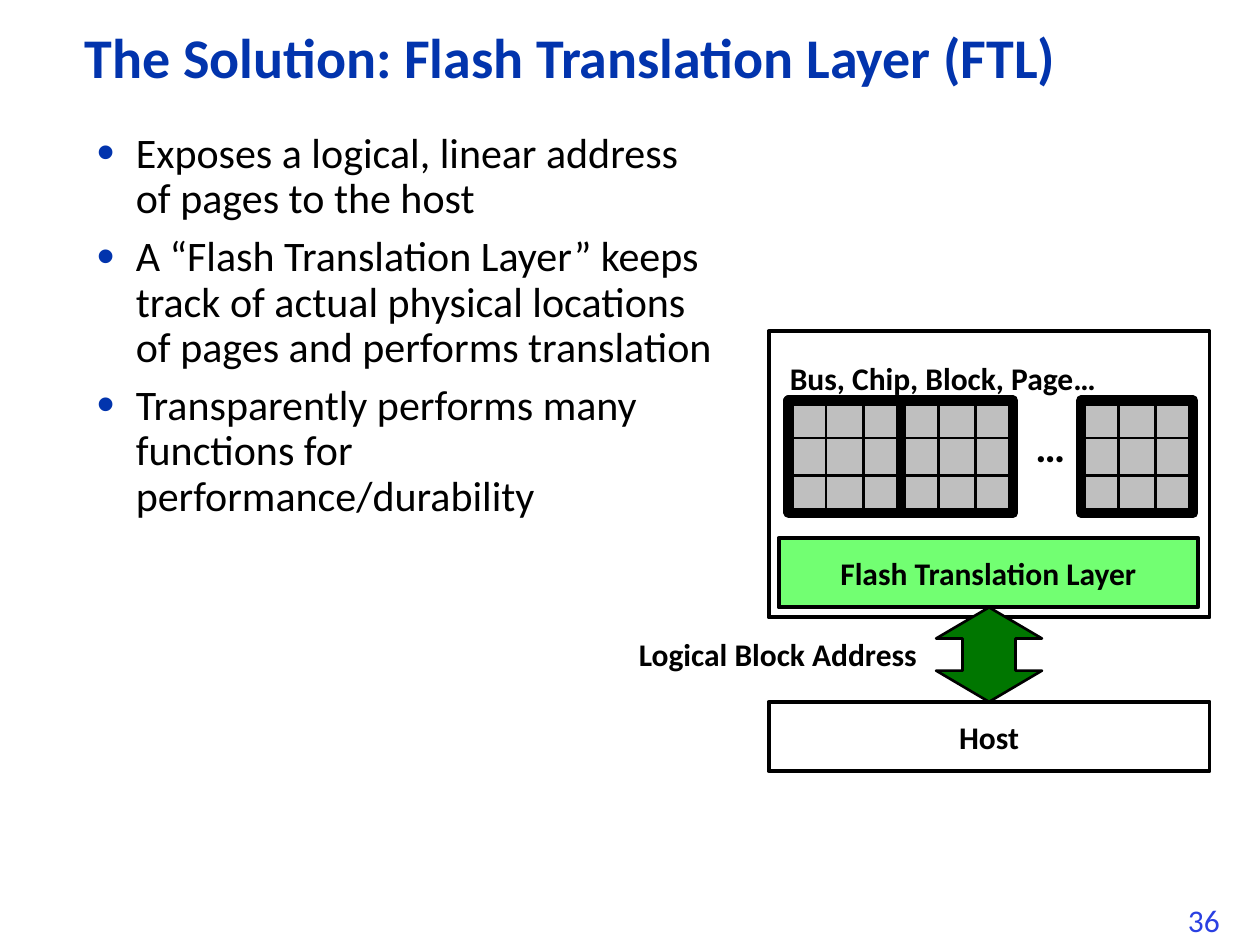
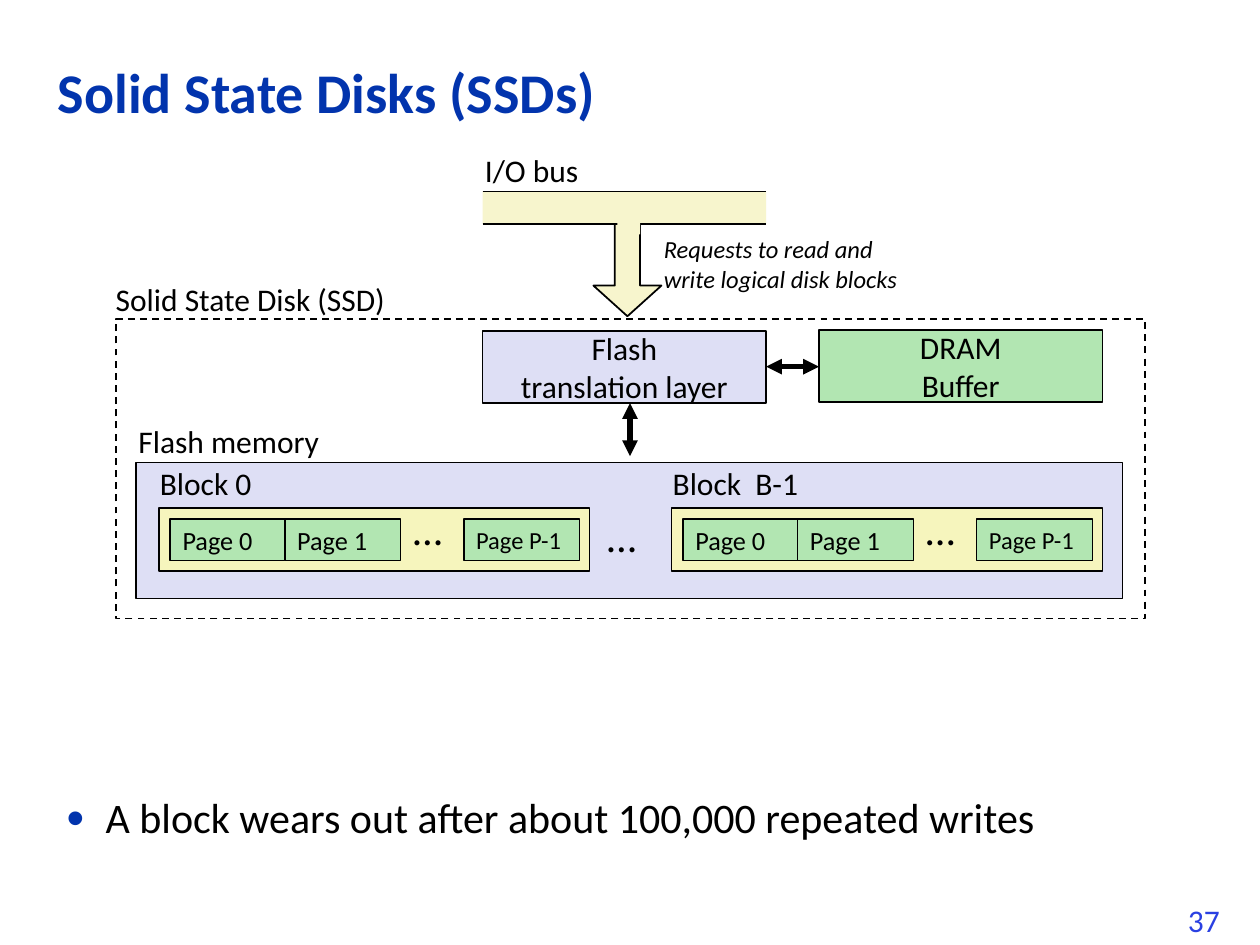
from dataclasses import dataclass
from itertools import product

from lxml import etree
from pptx import Presentation
from pptx.dml.color import RGBColor
from pptx.enum.dml import MSO_LINE
from pptx.enum.shapes import MSO_CONNECTOR, MSO_SHAPE
from pptx.enum.text import MSO_ANCHOR, MSO_AUTO_SIZE, PP_ALIGN
from pptx.oxml.ns import qn
from pptx.util import Inches, Pt

RECTANGLE = MSO_SHAPE.RECTANGLE
DOWN_ARROW = MSO_SHAPE.DOWN_ARROW
UP_DOWN_ARROW = MSO_SHAPE.UP_DOWN_ARROW
STRAIGHT = MSO_CONNECTOR.STRAIGHT
DASH = MSO_LINE.DASH
TOP, MIDDLE = MSO_ANCHOR.TOP, MSO_ANCHOR.MIDDLE
LEFT, CENTER = PP_ALIGN.LEFT, PP_ALIGN.CENTER
NO_AUTO_SIZE = MSO_AUTO_SIZE.NONE

FONT = "Calibri"
BLACK = RGBColor(0x00, 0x00, 0x00)
WHITE = RGBColor(0xFF, 0xFF, 0xFF)
TITLE_BLUE = RGBColor(0x02, 0x34, 0xAD)
NUMBER_BLUE = RGBColor(0x2A, 0x40, 0xE2)
BRIGHT_GREEN = RGBColor(0x72, 0xFF, 0x72)
ARROW_GREEN = RGBColor(0x00, 0x76, 0x00)
CELL_GRAY = RGBColor(0xBF, 0xBF, 0xBF)
LAVENDER = RGBColor(0xDE, 0xDF, 0xF5)
BUS_CREAM = RGBColor(0xF7, 0xF5, 0xCD)
BLOCK_YELLOW = RGBColor(0xF6, 0xF5, 0xBD)
PAGE_GREEN = RGBColor(0xB2, 0xE6, 0xB2)


@dataclass(frozen=True)
class Box:
    """A position and size in inches."""
    left: float
    top: float
    width: float
    height: float

    def lengths(self):
        return [Inches(value) for value in (self.left, self.top, self.width, self.height)]


@dataclass(frozen=True)
class TextStyle:
    size: float = 18
    color: RGBColor = BLACK
    bold: bool = False
    italic: bool = False
    align: PP_ALIGN = LEFT


@dataclass(frozen=True)
class Look:
    """Fill and outline; None leaves either one out."""
    fill: RGBColor | None = None
    line_width: float | None = 1
    dash: MSO_LINE | None = None


PLAIN = TextStyle()
CENTERED = TextStyle(align=CENTER)
BOLD = TextStyle(bold=True)
BOLD_CENTERED = TextStyle(bold=True, align=CENTER)
ELLIPSIS = TextStyle(24)
BULLET = TextStyle(24)
TITLE = TextStyle(32, TITLE_BLUE, bold=True)
NUMBER = TextStyle(color=NUMBER_BLUE)
NOTE = TextStyle(14, italic=True)


def write(text_frame, text: str, style: TextStyle, anchor=TOP, wrap=False) -> None:
    text_frame.text = text
    text_frame.word_wrap = wrap
    text_frame.auto_size = NO_AUTO_SIZE
    text_frame.vertical_anchor = anchor
    for paragraph in text_frame.paragraphs:
        paragraph.alignment = style.align
        for run in paragraph.runs:
            run.font.name = FONT
            run.font.size = Pt(style.size)
            run.font.bold = style.bold
            run.font.italic = style.italic
            run.font.color.rgb = style.color


def add_label(slide, box: Box, text: str, style: TextStyle = PLAIN, wrap=False):
    label = slide.shapes.add_textbox(*box.lengths())
    write(label.text_frame, text, style, wrap=wrap)
    return label


def add_figure(slide, box: Box, look: Look, text="", style: TextStyle = CENTERED,
               kind=RECTANGLE):
    figure = slide.shapes.add_shape(kind, *box.lengths())
    figure.shadow.inherit = False
    if look.fill is None:
        figure.fill.background()
    else:
        figure.fill.solid()
        figure.fill.fore_color.rgb = look.fill
    if look.line_width is None:
        figure.line.fill.background()
    else:
        figure.line.color.rgb = BLACK
        figure.line.width = Pt(look.line_width)
        if look.dash is not None:
            figure.line.dash_style = look.dash
    if text:
        write(figure.text_frame, text, style, MIDDLE)
    return figure


def add_block_arrow(slide, box: Box, look: Look, kind: MSO_SHAPE,
                    shaft: float, head: float) -> None:
    """Draw an arrow whose shaft width and head length are shares of its size."""
    arrow = add_figure(slide, box, look, kind=kind)
    guides = arrow._element.spPr.find(qn("a:prstGeom")).find(qn("a:avLst"))
    for guide in list(guides):
        guides.remove(guide)
    for name, share in (("adj1", shaft), ("adj2", head)):
        etree.SubElement(guides, qn("a:gd"), name=name, fmla=f"val {round(share * 100000)}")


def add_line(slide, start: tuple[float, float], end: tuple[float, float],
             width: float, arrows=False) -> None:
    points = [Inches(value) for value in (*start, *end)]
    connector = slide.shapes.add_connector(STRAIGHT, *points)
    connector.line.color.rgb = BLACK
    connector.line.width = Pt(width)
    properties = connector._element.spPr
    if arrows:
        outline = properties.find(qn("a:ln"))
        for end_tag in ("a:headEnd", "a:tailEnd"):
            etree.SubElement(outline, qn(end_tag), type="triangle")
    etree.SubElement(properties, qn("a:effectLst"))


def add_bullets(slide, box: Box, items: list[str]) -> None:
    body = add_label(slide, box, "\n".join(items), BULLET, wrap=True)
    for index, paragraph in enumerate(body.text_frame.paragraphs):
        paragraph.line_spacing = 0.9
        if index:
            paragraph.space_before = Pt(0.3 * BULLET.size)
        properties = paragraph._p.get_or_add_pPr()
        properties.set("marL", str(Inches(0.31)))
        properties.set("indent", str(-Inches(0.31)))
        color = etree.SubElement(properties, qn("a:buClr"))
        etree.SubElement(color, qn("a:srgbClr"), val=str(TITLE_BLUE))
        etree.SubElement(properties, qn("a:buSzPct"), val="120000")
        etree.SubElement(properties, qn("a:buFont"), typeface="Arial")
        etree.SubElement(properties, qn("a:buChar"), char="•")


def add_titled_slide(presentation, title: str, title_box: Box, number: int):
    slide = presentation.slides.add_slide(presentation.slide_layouts.get_by_name("Title Only"))
    placeholder = slide.shapes.title
    placeholder.left, placeholder.top, placeholder.width, placeholder.height = title_box.lengths()
    write(placeholder.text_frame, title, TITLE, MIDDLE, wrap=True)
    placeholder.text_frame.paragraphs[0].line_spacing = 0.9
    add_label(slide, Box(9.33, 7.1, 0.51, 0.4), str(number), NUMBER)
    return slide


def add_chip(slide, left: float, top: float) -> None:
    """Draw a three by three grid of memory cells in a thick frame."""
    side = 0.89
    pitch = side / 3
    for row, column in product(range(3), repeat=2):
        cell = Box(left + column * pitch, top + row * pitch, pitch, pitch)
        add_figure(slide, cell, Look(CELL_GRAY, 1.5))
    add_figure(slide, Box(left, top, side, side), Look(line_width=6))


def add_block(slide, left: float, name: str) -> None:
    """Draw a flash block with its name and its row of pages."""
    add_figure(slide, Box(left, 4.03, 3.42, 0.5), Look(BLOCK_YELLOW))
    for offset, page, size in ((0.09, "Page 0", 15), (1, "Page 1", 15), (2.42, "Page P-1", 14)):
        add_figure(slide, Box(left + offset, 4.12, 0.92, 0.33), Look(PAGE_GREEN),
                   page, TextStyle(size))
    add_label(slide, Box(left + 1.92, 3.95, 0.44, 0.5), "…", ELLIPSIS)
    add_label(slide, Box(left - 0.09, 3.63, 1.21, 0.4), name)


def build_translation_layer_slide(presentation) -> None:
    slide = add_titled_slide(presentation, "The Solution: Flash Translation Layer (FTL)",
                             Box(0.57, 0.19, 9.43, 0.58), 36)
    add_bullets(slide, Box(0.67, 1, 5.14, 5.58), [
        "Exposes a logical, linear address of pages to the host",
        "A “Flash Translation Layer” keeps track of actual physical locations "
        "of pages and performs translation",
        "Transparently performs many functions for performance/durability",
    ])
    add_figure(slide, Box(6.1, 2.63, 3.5, 2.27), Look(WHITE, 2.25))
    add_figure(slide, Box(6.18, 4.27, 3.33, 0.55), Look(BRIGHT_GREEN, 2.25),
               "Flash Translation Layer", BOLD_CENTERED)
    for chip_left in (6.26, 7.15, 8.58):
        add_chip(slide, chip_left, 3.18)
    add_label(slide, Box(8.12, 3.29, 0.44, 0.5), "…", TextStyle(24, bold=True))
    add_block_arrow(slide, Box(7.43, 4.82, 0.84, 0.75), Look(ARROW_GREEN, 1.5),
                    UP_DOWN_ARROW, shaft=0.5, head=0.33)
    add_figure(slide, Box(6.1, 5.57, 3.5, 0.55), Look(WHITE, 2.25), "Host", BOLD_CENTERED)
    add_label(slide, Box(4.96, 4.99, 2.43, 0.4), "Logical Block Address", BOLD_CENTERED)
    add_label(slide, Box(6.17, 2.8, 2.65, 0.4), "Bus, Chip, Block, Page…", BOLD)


def add_bus(slide) -> None:
    """Draw the open-ended bus with its arrow down to the disk."""
    left, right, top, bottom = 3.83, 6.08, 1.52, 1.78
    add_block_arrow(slide, Box(4.71, 1.76, 0.54, 0.75), Look(BUS_CREAM),
                    DOWN_ARROW, shaft=0.37, head=0.45)
    add_figure(slide, Box(left, top, right - left, bottom - top), Look(BUS_CREAM, None))
    for edge in (top, bottom):
        add_line(slide, (left, edge), (right, edge), 1)
    add_figure(slide, Box(4.9, 1.69, 0.18, 0.17), Look(BUS_CREAM, None))
    add_label(slide, Box(3.75, 1.15, 0.95, 0.4), "I/O bus")


def build_solid_state_disk_slide(presentation) -> None:
    slide = add_titled_slide(presentation, "Solid State Disks (SSDs)",
                             Box(0.36, 0.34, 8.3, 0.83), 37)
    add_bullets(slide, Box(0.43, 6.28, 8.64, 0.97),
                ["A block wears out after about 100,000 repeated writes"])
    add_bus(slide)
    add_label(slide, Box(5.17, 1.81, 2.33, 0.57),
              "Requests to read and\nwrite logical disk blocks", NOTE, wrap=True)

    add_figure(slide, Box(0.92, 2.53, 8.17, 2.38), Look(dash=DASH))
    add_label(slide, Box(0.82, 2.17, 2.37, 0.4), "Solid State Disk (SSD)")
    add_figure(slide, Box(3.83, 2.63, 2.25, 0.57), Look(LAVENDER), "Flash\ntranslation layer")
    add_figure(slide, Box(6.5, 2.62, 2.25, 0.57), Look(PAGE_GREEN), "DRAM\nBuffer")
    add_line(slide, (5, 3.2), (5, 3.62), 3, arrows=True)
    add_line(slide, (6.5, 2.91), (6.08, 2.91), 3, arrows=True)

    add_figure(slide, Box(1.08, 3.67, 7.83, 1.08), Look(LAVENDER))
    add_label(slide, Box(1, 3.3, 1.65, 0.4), "Flash memory")
    add_block(slide, 1.26, "Block 0")
    add_label(slide, Box(4.72, 4, 0.44, 0.5), "…", ELLIPSIS)
    add_block(slide, 5.33, "Block  B-1")


def main() -> None:
    presentation = Presentation()
    presentation.slide_width = Inches(10)
    presentation.slide_height = Inches(7.5)
    build_translation_layer_slide(presentation)
    build_solid_state_disk_slide(presentation)
    presentation.save("out.pptx")


if __name__ == "__main__":
    main()
